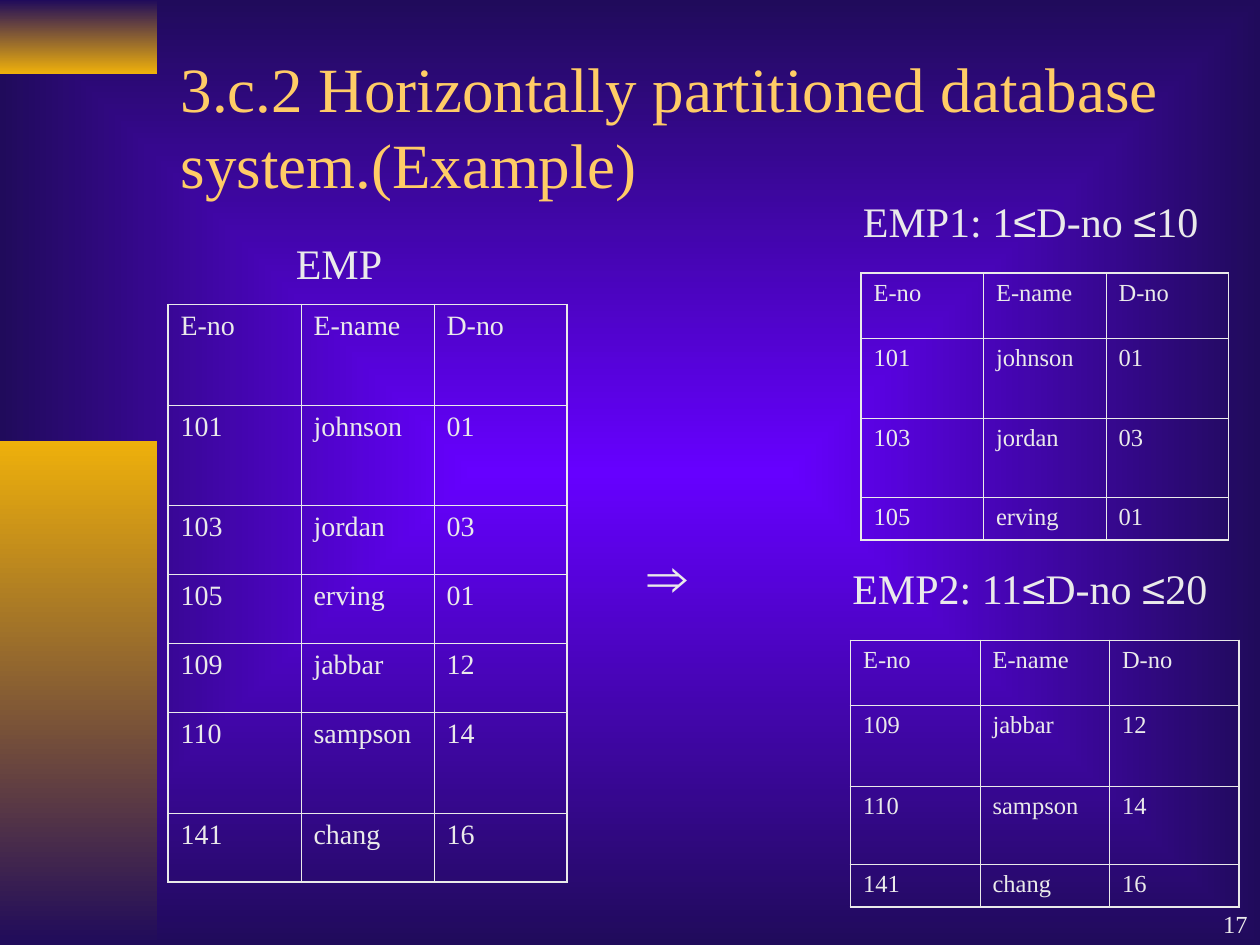
from lxml.etree import SubElement
from pptx import Presentation
from pptx.dml.color import RGBColor
from pptx.enum.shapes import MSO_SHAPE
from pptx.enum.text import MSO_ANCHOR, MSO_AUTO_SIZE, PP_ALIGN
from pptx.oxml import parse_xml
from pptx.oxml.ns import nsdecls, qn
from pptx.util import Pt

VIOLET = RGBColor(0x66, 0x00, 0xFF)
NAVY = RGBColor(0x20, 0x0B, 0x5B)
GOLD = RGBColor(0xEE, 0xB0, 0x0B)
TITLE_GOLD = RGBColor(0xFF, 0xCC, 0x66)
LIGHT = RGBColor(0xEA, 0xEA, 0xEA)
SERIF, SANS = "Times New Roman", "Arial"
OUTER, INNER = 1.08, 0.45  # table line widths

HEADER = ("E-no", "E-name", "D-no")
DEPT_1_TO_10 = [("101", "johnson", "01"), ("103", "jordan", "03"), ("105", "erving", "01")]
DEPT_11_TO_20 = [("109", "jabbar", "12"), ("110", "sampson", "14"), ("141", "chang", "16")]
TALL, SHORT = 57.5, 39.4
EMP_HEIGHTS = (TALL, TALL, SHORT, SHORT, SHORT, TALL, SHORT)
PART_HEIGHTS = (37.25, 46, 44.75, 24.5)


def set_gradient(fill, first, last):
    fill.gradient()
    for stop, color, position in zip(fill.gradient_stops, (first, last), (0, 1)):
        stop.color.rgb = color
        stop.position = position


def style_font(font, size, color=LIGHT, name=SERIF):
    font.size, font.name, font.color.rgb = Pt(size), name, color


def add_background(s):
    set_gradient(s.background.fill, VIOLET, NAVY)
    # Radiate from the centre instead of along a line
    grad = s.background._cSld.find(".//" + qn("a:gradFill"))
    grad.remove(grad.find(qn("a:lin")))
    rect_path = SubElement(grad, qn("a:path"), path="rect")
    SubElement(rect_path, qn("a:fillToRect"), {side: "50000" for side in "ltrb"})


def add_side_bar(s, left, top, width, height, first, last):
    sp = s.shapes.add_shape(MSO_SHAPE.RECTANGLE, Pt(left), Pt(top), Pt(width), Pt(height))
    sp.shadow.inherit = False
    sp.line.fill.background()
    set_gradient(sp.fill, first, last)
    sp.fill.gradient_angle = 270


def add_title(s, left, top, width, height, text):
    sp = s.shapes.title
    sp.left, sp.top, sp.width, sp.height = Pt(left), Pt(top), Pt(width), Pt(height)
    tf = sp.text_frame
    tf.text = text
    tf.auto_size = MSO_AUTO_SIZE.NONE
    tf.vertical_anchor = MSO_ANCHOR.MIDDLE
    p = tf.paragraphs[0]
    p.alignment = PP_ALIGN.LEFT
    style_font(p.font, 36, TITLE_GOLD)


def add_label(s, left, top, width, height, text, size=24, name=SERIF, wrap=True):
    """Text box; the ≤ signs get the sans font."""
    sp = s.shapes.add_textbox(Pt(left), Pt(top), Pt(width), Pt(height))
    tf = sp.text_frame
    tf.word_wrap = wrap
    p = tf.paragraphs[0]
    style_font(p.font, size, name=name)
    for i, part in enumerate(text.split("≤")):
        if i:
            sign = p.add_run()
            sign.text = "≤"
            style_font(sign.font, size, name=SANS)
        r = p.add_run()
        r.text = part
        style_font(r.font, size, name=name)
    return tf


def set_borders(cell, widths):
    tc_pr = cell._tc.get_or_add_tcPr()
    for i, (side, width) in enumerate(zip("LRTB", widths)):
        tc_pr.insert(i, parse_xml(
            f'<a:ln{side} {nsdecls("a")} w="{Pt(width)}"><a:solidFill>'
            f'<a:srgbClr val="{LIGHT}"/></a:solidFill></a:ln{side}>'))


def add_employee_table(s, left, top, width, heights, records, size):
    rows = [HEADER, *records]
    n_rows, n_cols = len(rows), len(HEADER)
    frame = s.shapes.add_table(n_rows, n_cols, Pt(left), Pt(top), Pt(width), Pt(sum(heights)))
    table = frame.table
    table.first_row = table.horz_banding = False
    for column in table.columns:
        column.width = Pt(width / n_cols)
    for i, (row, height) in enumerate(zip(rows, heights)):
        table.rows[i].height = Pt(height)
        for j, text in enumerate(row):
            cell = table.cell(i, j)
            cell.text = text
            cell.fill.background()
            edges = (j == 0, j == n_cols - 1, i == 0, i == n_rows - 1)
            set_borders(cell, [OUTER if edge else INNER for edge in edges])
            p = cell.text_frame.paragraphs[0]
            p.space_before = Pt(size / 4)
            style_font(p.font, size)


def add_page_number(s, left, top, width, height, text):
    tf = add_label(s, left, top, width, height, text, size=14)
    tf.vertical_anchor = MSO_ANCHOR.BOTTOM
    tf.paragraphs[0].alignment = PP_ALIGN.RIGHT


def main():
    prs = Presentation()
    prs.slide_width, prs.slide_height = Pt(720), Pt(540)
    s = prs.slides.add_slide(prs.slide_layouts[5])

    # Backdrop and title
    add_background(s)
    add_side_bar(s, 0, 0, 90, 42, NAVY, GOLD)
    add_side_bar(s, 0, 252, 90, 288, GOLD, NAVY)
    add_title(s, 96, 24, 612, 95, "3.c.2 Horizontally partitioned database system.(Example)")

    # Whole table
    add_employee_table(s, 96, 174, 228, EMP_HEIGHTS, DEPT_1_TO_10 + DEPT_11_TO_20, 16)
    add_label(s, 162, 132, 144, 36, "EMP")

    # Partitions
    add_employee_table(s, 492, 156, 210, PART_HEIGHTS, DEPT_1_TO_10, 14)
    add_employee_table(s, 486, 366, 222, PART_HEIGHTS, DEPT_11_TO_20, 14)
    add_label(s, 480, 318, 230, 36, "EMP2: 11≤D-no ≤20", wrap=False)
    add_label(s, 486, 108, 217.5, 65, "EMP1: 1≤D-no ≤10")

    # Arrow sign and page number
    add_label(s, 363, 306, 46, 46, "⇒", size=32, name=SANS, wrap=False)
    add_page_number(s, 570, 504, 150, 36, "17")

    prs.save("out.pptx")


if __name__ == "__main__":
    main()
